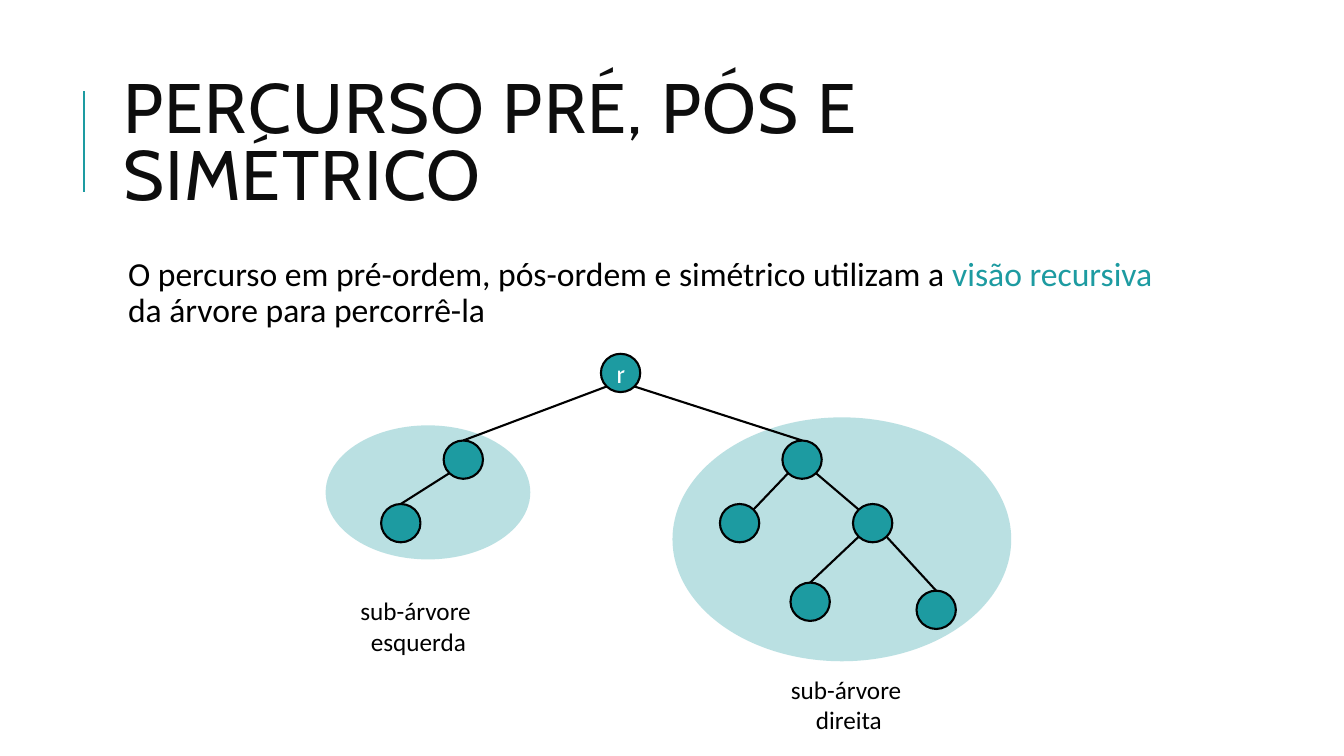
import pptx
import pptx.util
import pptx.dml.color
import pptx.enum.shapes
import pptx.enum.text
import pptx.oxml.ns
import pptx.oxml.xmlchemy

TEAL, BLACK, WHITE, INK = "1D9BA1", "000000", "FFFFFF", "0D0D0D"
TITLE = "PERCURSO PRÉ, PÓS E SIMÉTRICO"
BODY = [
    ("O percurso em pré-ordem, pós-ordem e simétrico utilizam a ", BLACK),
    ("visão recursiva ", TEAL),
    ("da árvore para percorrê-la", BLACK),
]
TITLE_BOX = (112, 64, 1063, 164)
BODY_BOX = (112, 250, 1063, 440)
ACCENT_LINE = ((83, 190), (83, 90))
SUBTREES = [(667, 414, 336, 242), (323, 422, 203, 133)]
NODE_WIDTH, NODE_HEIGHT = 39, 38
NODES = {
    "root": (596, 351, "r"),
    "left": (440, 437, ""),
    "left leaf": (378, 500, ""),
    "right": (776, 437, ""),
    "right leaf": (714, 500, ""),
    "inner": (846, 500, ""),
    "inner left": (784, 578, ""),
    "inner right": (909, 586, ""),
}
EDGES = [
    ("root", "bottom left", "left", "top"),
    ("root", "bottom right", "right", "top"),
    ("left", "bottom left", "left leaf", "top"),
    ("right", "bottom left", "right leaf", "top right"),
    ("right", "bottom right", "inner", "top left"),
    ("inner", "bottom left", "inner left", "top"),
    ("inner", "bottom right", "inner right", "top"),
]
DIAGONAL = 0.5 ** 0.5
SITES = {
    "top": (0, -1),
    "top left": (-DIAGONAL, -DIAGONAL),
    "top right": (DIAGONAL, -DIAGONAL),
    "bottom left": (-DIAGONAL, DIAGONAL),
    "bottom right": (DIAGONAL, DIAGONAL),
}
LABELS = [
    ((346, 586, 138, 71), "sub-árvore \vesquerda"),
    ((774, 664, 136, 71), "sub-árvore \ndireita"),
]
CENTER = pptx.enum.text.PP_ALIGN.CENTER
MIDDLE = pptx.enum.text.MSO_ANCHOR.MIDDLE


def px(length):
    return pptx.util.Emu(round(length * 9144))


def color(value):
    return pptx.dml.color.RGBColor.from_string(value)


def element(tag):
    return pptx.oxml.xmlchemy.OxmlElement(tag)


def style(run, font, size, fill):
    run.font.name = font
    run.font.size = pptx.util.Pt(size)
    run.font.color.rgb = color(fill)


def place(shape, box):
    shape.left, shape.top, shape.width, shape.height = map(px, box)


def add_ellipse(slide, box):
    shape = slide.shapes.add_shape(
        pptx.enum.shapes.MSO_SHAPE.OVAL, *map(px, box))
    shape.shadow.inherit = False
    shape.fill.solid()
    shape.fill.fore_color.rgb = color(TEAL)
    return shape


def add_line(slide, start, end, fill):
    connector = slide.shapes.add_connector(
        pptx.enum.shapes.MSO_CONNECTOR.STRAIGHT, *map(px, start + end))
    connector.line.color.rgb = color(fill)
    connector.line.width = pptx.util.Pt(1.5)
    connector._element.spPr.append(element("a:effectLst"))


def add_title(slide):
    title = slide.shapes.title
    place(title, TITLE_BOX)
    frame = title.text_frame
    frame.text = TITLE
    frame.auto_size = pptx.enum.text.MSO_AUTO_SIZE.NONE
    frame.vertical_anchor = MIDDLE
    paragraph = frame.paragraphs[0]
    paragraph.alignment = pptx.enum.text.PP_ALIGN.LEFT
    paragraph.line_spacing = 0.8
    run = paragraph.runs[0]
    style(run, "Cabin", 50, INK)
    run.font._element.set("spc", "100")


def add_body(slide):
    body = slide.placeholders[1]
    place(body, BODY_BOX)
    frame = body.text_frame
    frame.auto_size = pptx.enum.text.MSO_AUTO_SIZE.NONE
    frame.margin_left = frame.margin_right = px(5)
    frame.margin_top = frame.margin_bottom = px(5)
    paragraph = frame.paragraphs[0]
    properties = paragraph._element.get_or_add_pPr()
    properties.set("marL", str(px(10)))
    properties.set("indent", "0")
    properties.append(element("a:buNone"))
    paragraph.line_spacing = 0.9
    paragraph.space_before = pptx.util.Pt(0)
    paragraph.space_after = pptx.util.Pt(2)
    for text, fill in BODY:
        run = paragraph.add_run()
        run.text = text
        style(run, "Calibri", 24, fill)


def add_subtree(slide, box):
    shape = add_ellipse(slide, box)
    shape.line.fill.background()
    fill = shape._element.spPr.find(pptx.oxml.ns.qn("a:solidFill"))
    alpha = element("a:alpha")
    alpha.set("val", "30000")
    fill[0].append(alpha)


def add_node(slide, left, top, text):
    shape = add_ellipse(slide, (left, top, NODE_WIDTH, NODE_HEIGHT))
    shape.line.color.rgb = color(BLACK)
    shape.line.width = pptx.util.Pt(1.5)
    if text:
        frame = shape.text_frame
        frame.text = text
        frame.word_wrap = False
        frame.vertical_anchor = MIDDLE
        frame.paragraphs[0].alignment = CENTER
        style(frame.paragraphs[0].runs[0], "Cabin", 18, WHITE)


def site_point(name, site):
    left, top, _ = NODES[name]
    across, down = SITES[site]
    return (left + NODE_WIDTH * (1 + across) / 2,
            top + NODE_HEIGHT * (1 + down) / 2)


def add_label(slide, box, text):
    frame = slide.shapes.add_textbox(*map(px, box)).text_frame
    frame.text = text
    frame.word_wrap = False
    frame.auto_size = pptx.enum.text.MSO_AUTO_SIZE.SHAPE_TO_FIT_TEXT
    for paragraph in frame.paragraphs:
        paragraph.alignment = CENTER
        for run in paragraph.runs:
            style(run, "Calibri", 18, BLACK)


def main():
    presentation = pptx.Presentation()
    presentation.slide_width = px(1333)
    presentation.slide_height = px(750)
    slide = presentation.slides.add_slide(presentation.slide_layouts[1])
    add_line(slide, *ACCENT_LINE, TEAL)
    add_title(slide)
    add_body(slide)
    for box in SUBTREES:
        add_subtree(slide, box)
    for node in NODES.values():
        add_node(slide, *node)
    for parent, start, child, end in EDGES:
        add_line(slide, site_point(parent, start),
                 site_point(child, end), BLACK)
    for box, text in LABELS:
        add_label(slide, box, text)
    presentation.save("out.pptx")


if __name__ == "__main__":
    main()
